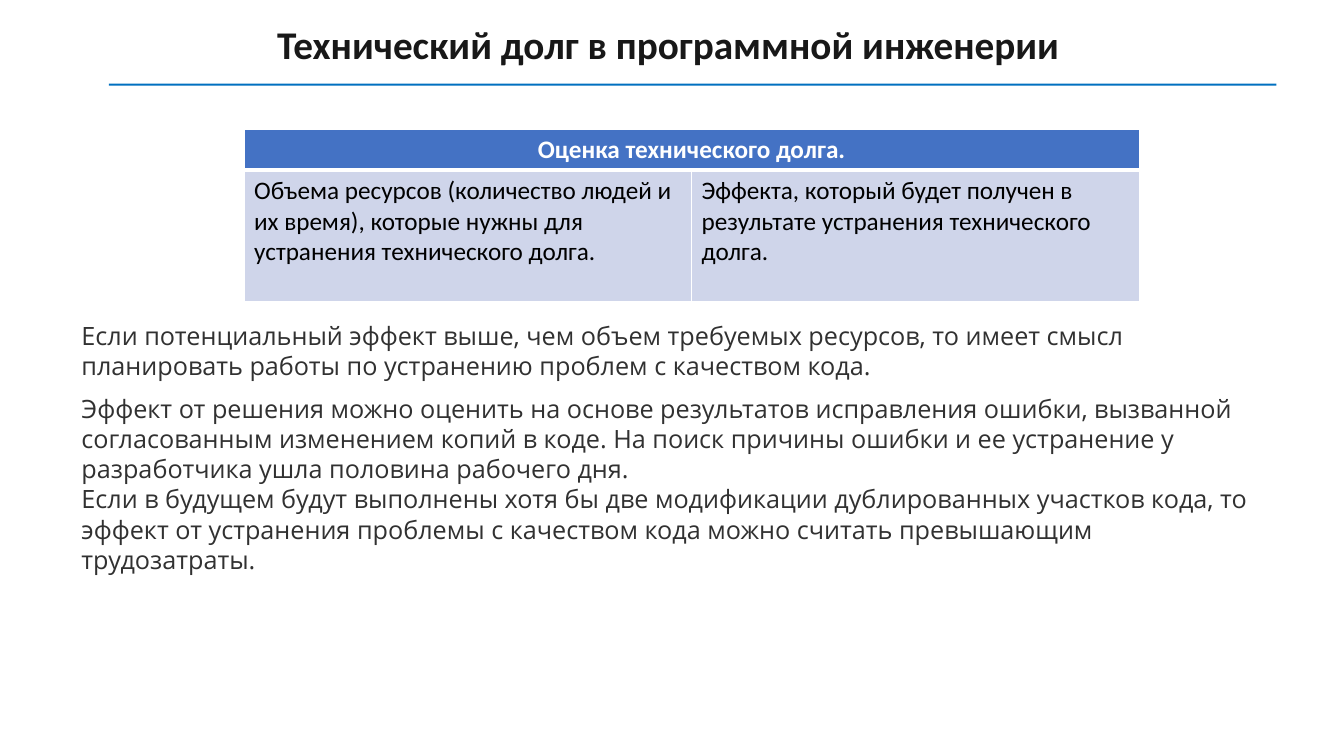
from dataclasses import dataclass

from lxml.etree import SubElement
from pptx import Presentation
from pptx.dml.color import RGBColor
from pptx.enum.shapes import MSO_SHAPE
from pptx.enum.text import MSO_ANCHOR, MSO_AUTO_SIZE, PP_ALIGN
from pptx.oxml.ns import qn
from pptx.slide import Slide
from pptx.table import _Cell
from pptx.text.text import TextFrame
from pptx.util import Inches, Pt

COLORS = {
    "title": "181818",
    "body": "313131",
    "rule": "0070C0",
    "head": "4472C4",
    "cell": "CFD5EA",
    "white": "FFFFFF",
    "black": "000000",
}


@dataclass
class Note:
    """A text box: its place in inches, its paragraphs and its format."""
    left: float
    top: float
    width: float
    height: float
    lines: list[str]
    font: str = "Open Sans"
    size: int = 18
    color: str = "body"
    bold: bool = False
    wrap: bool = True


NOTES = [
    Note(2.65, 0.15, 8.04, 0.57, ["Технический долг в программной инженерии"],
         font="Calibri", size=28, color="title", bold=True, wrap=False),
    Note(0.71, 3.13, 11.94, 0.71, [
        "Если потенциальный эффект выше, чем объем требуемых ресурсов, то имеет смысл "
        "планировать работы по устранению проблем с качеством кода.",
    ]),
    Note(0.71, 3.85, 11.94, 1.62, [
        "Эффект от решения можно оценить на основе результатов исправления ошибки, "
        "вызванной согласованным изменением копий в коде. На поиск причины ошибки и ее "
        "устранение у разработчика ушла половина рабочего дня.",
        "Если в будущем будут выполнены хотя бы две модификации дублированных участков "
        "кода, то эффект от устранения проблемы с качеством кода можно считать "
        "превышающим трудозатраты.",
    ]),
]

HEAD = "Оценка технического долга."
PARTS = [
    "Объема ресурсов (количество людей и их время), которые нужны для устранения "
    "технического долга.",
    "Эффекта, который будет получен в результате устранения технического долга.",
]


def write(frame: TextFrame, lines: list[str], *, font: str = "Calibri", size: int = 18,
          color: str = "black", bold: bool = False,
          align: PP_ALIGN = PP_ALIGN.LEFT) -> None:
    for i, line in enumerate(lines):
        para = frame.add_paragraph() if i else frame.paragraphs[0]
        para.alignment = align
        run = para.add_run()
        run.text = line
        run.font.name = font
        run.font.size = Pt(size)
        run.font.bold = bold
        run.font.color.rgb = RGBColor.from_string(COLORS[color])


def add_note(slide: Slide, note: Note) -> None:
    box = slide.shapes.add_textbox(Inches(note.left), Inches(note.top),
                                   Inches(note.width), Inches(note.height))
    frame = box.text_frame
    frame.word_wrap = note.wrap
    frame.auto_size = MSO_AUTO_SIZE.SHAPE_TO_FIT_TEXT
    write(frame, note.lines, font=note.font, size=note.size, color=note.color,
          bold=note.bold)


def add_rule(slide: Slide) -> None:
    rule = slide.shapes.add_shape(MSO_SHAPE.RECTANGLE, Inches(1.08), Inches(0.83),
                                  Inches(11.58), Inches(0.02))
    rule.shadow.inherit = False
    rule.fill.solid()
    rule.fill.fore_color.rgb = RGBColor.from_string(COLORS["rule"])
    rule.line.fill.background()


def style(cell: _Cell, fill: str, top: float, base: float) -> None:
    """Give a cell white borders, with top and base widths in points, and a fill."""
    props = cell._tc.get_or_add_tcPr()
    for side, width in {"L": 1, "R": 1, "T": top, "B": base}.items():
        line = SubElement(props, qn(f"a:ln{side}"), w=str(Pt(width)))
        SubElement(SubElement(line, qn("a:solidFill")), qn("a:srgbClr"),
                   val=COLORS["white"])
    cell.fill.solid()
    cell.fill.fore_color.rgb = RGBColor.from_string(COLORS[fill])
    cell.vertical_anchor = MSO_ANCHOR.TOP


def add_grid(slide: Slide) -> None:
    grid = slide.shapes.add_table(2, len(PARTS), Inches(2.42), Inches(1.28),
                                  Inches(8.88), Inches(1.71)).table
    for row, height in zip(grid.rows, (0.41, 1.3)):
        row.height = Inches(height)
    for col, part in enumerate(PARTS):
        style(grid.cell(0, col), "head", 1, 3)
        style(grid.cell(1, col), "cell", 3, 1)
        write(grid.cell(1, col).text_frame, [part])
    head = grid.cell(0, 0)
    head.merge(grid.cell(0, len(PARTS) - 1))
    write(head.text_frame, [HEAD], color="white", bold=True, align=PP_ALIGN.CENTER)


def main() -> None:
    deck = Presentation()
    deck.slide_width, deck.slide_height = Inches(13.33), Inches(7.5)
    slide = deck.slides.add_slide(deck.slide_layouts[6])
    add_rule(slide)
    add_grid(slide)
    for note in NOTES:
        add_note(slide, note)
    deck.save("out.pptx")


if __name__ == "__main__":
    main()
